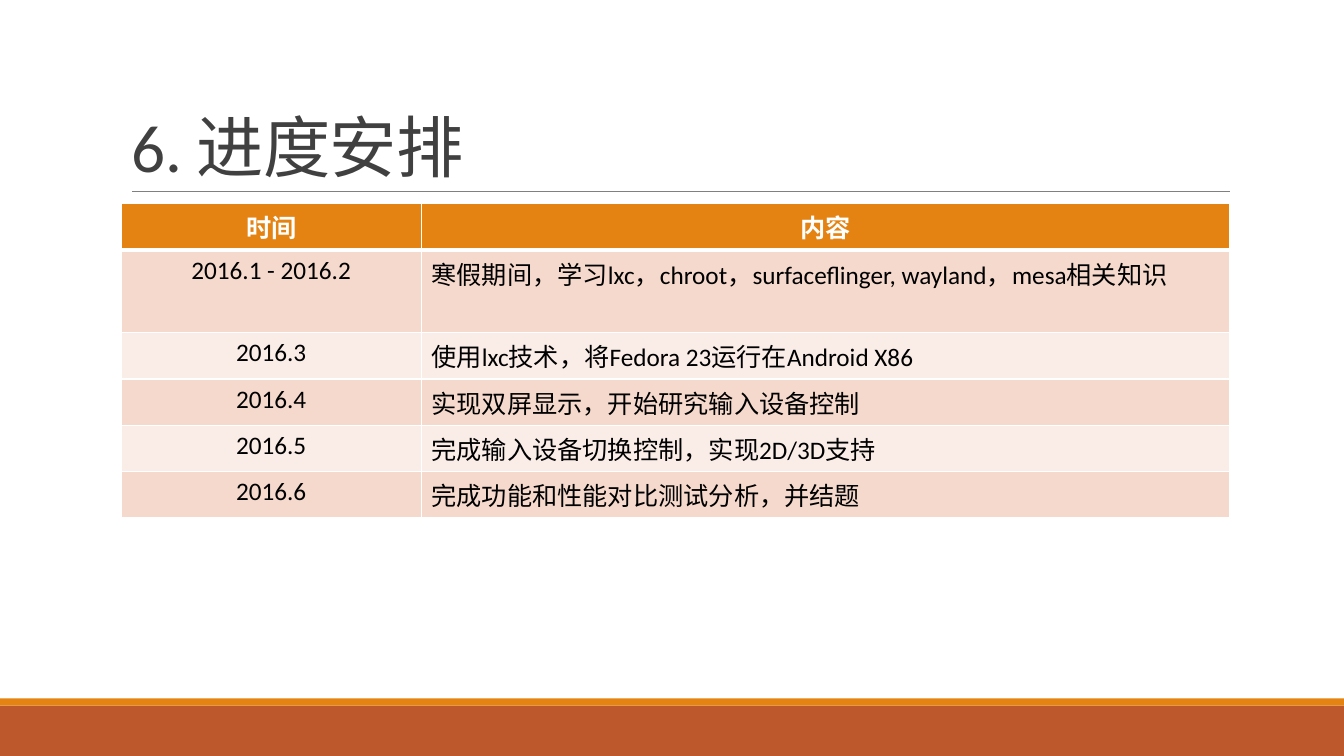
from lxml.etree import SubElement
from pptx import Presentation
from pptx.dml.color import RGBColor
from pptx.enum.shapes import MSO_CONNECTOR, MSO_SHAPE
from pptx.enum.text import MSO_ANCHOR, PP_ALIGN
from pptx.oxml.ns import qn
from pptx.util import Inches, Pt

TITLE = "6. 进度安排"
SCHEDULE = [
    ("时间", "内容"),
    ("2016.1 - 2016.2", "寒假期间，学习lxc，chroot，surfaceflinger, wayland，mesa相关知识"),
    ("2016.3", "使用lxc技术，将Fedora 23运行在Android X86"),
    ("2016.4", "实现双屏显示，开始研究输入设备控制"),
    ("2016.5", "完成输入设备切换控制，实现2D/3D支持"),
    ("2016.6", "完成功能和性能对比测试分析，并结题"),
]
FONT = "Calibri"
ORANGE, RUST, WHITE = "E48312", "BD582C", "FFFFFF"
BANDS = ("FAEDE7", "F5D9CC")

WIDTH, HEIGHT = 13.33, 7.5
MARGIN, CONTENT_WIDTH = 1.2, 11
TITLE_LEFT, TITLE_TOP, TITLE_HEIGHT = 1.21, 0.31, 1.59
TABLE_TOP = 2.02
ONE_LINE, TWO_LINES = 0.46, 0.82
ROWS = (ONE_LINE, TWO_LINES) + (ONE_LINE,) * 4
COLUMNS = (2.98, 8.02)
FOOTER_HEIGHT, STRIPE_HEIGHT = 0.5, 0.07


def color(value):
    return RGBColor.from_string(value)


def style(font, size, value, bold=False):
    font.name, font.size, font.bold = FONT, Pt(size), bold
    font.color.rgb = color(value)


def add_band(page, top, height, fill):
    band = page.shapes.add_shape(
        MSO_SHAPE.RECTANGLE, 0, Inches(top), Inches(WIDTH), Inches(height))
    band.shadow.inherit = False
    band.fill.solid()
    band.fill.fore_color.rgb = color(fill)
    band.line.fill.background()


def add_rule(page, left, right, y):
    rule = page.shapes.add_connector(
        MSO_CONNECTOR.STRAIGHT, Inches(left), Inches(y), Inches(right), Inches(y))
    rule.line.color.rgb = color("808080")
    rule.line.width = Pt(0.5)
    SubElement(rule._element.spPr, qn("a:effectLst"))


def add_title(page):
    box = page.shapes.add_textbox(
        Inches(TITLE_LEFT), Inches(TITLE_TOP), Inches(CONTENT_WIDTH), Inches(TITLE_HEIGHT))
    frame = box.text_frame
    frame.word_wrap = True
    frame.vertical_anchor = MSO_ANCHOR.BOTTOM
    frame.text = TITLE
    para = frame.paragraphs[0]
    para.line_spacing = 0.85
    span = para.runs[0]
    style(span.font, 48, "404040")
    span._r.get_or_add_rPr().set("spc", "-50")


def set_borders(cell, **widths):
    """Draw white cell borders; must run before the cell fill is set."""
    properties = cell._tc.get_or_add_tcPr()
    for side in "LRTB":
        line = SubElement(properties, qn(f"a:ln{side}"), w=str(Pt(widths.get(side, 1))))
        fill = SubElement(line, qn("a:solidFill"))
        SubElement(fill, qn("a:srgbClr"), val=WHITE)


def add_schedule(page):
    table = page.shapes.add_table(
        len(ROWS), len(COLUMNS), Inches(MARGIN), Inches(TABLE_TOP),
        Inches(CONTENT_WIDTH), Inches(sum(ROWS))).table
    for column, width in zip(table.columns, COLUMNS):
        column.width = Inches(width)
    for i, (texts, height) in enumerate(zip(SCHEDULE, ROWS)):
        table.rows[i].height = Inches(height)
        header = i == 0
        for j, text in enumerate(texts):
            cell = table.cell(i, j)
            set_borders(cell, T=3 if i == 1 else 1, B=3 if header else 1)
            cell.fill.solid()
            cell.fill.fore_color.rgb = color(ORANGE if header else BANDS[i % 2])
            cell.text_frame.text = text
            para = cell.text_frame.paragraphs[0]
            para.alignment = PP_ALIGN.CENTER if header or j == 0 else PP_ALIGN.LEFT
            style(para.runs[0].font, 18, WHITE if header else "000000", header)


def main():
    deck = Presentation()
    deck.slide_width, deck.slide_height = Inches(WIDTH), Inches(HEIGHT)
    page = deck.slides.add_slide(deck.slide_layouts[6])
    footer_top = HEIGHT - FOOTER_HEIGHT
    add_band(page, footer_top, FOOTER_HEIGHT, RUST)
    add_band(page, footer_top - STRIPE_HEIGHT, STRIPE_HEIGHT, ORANGE)
    add_rule(page, MARGIN + 0.11, MARGIN + CONTENT_WIDTH, TITLE_TOP + TITLE_HEIGHT)
    add_title(page)
    add_schedule(page)
    deck.save("out.pptx")


if __name__ == "__main__":
    main()
